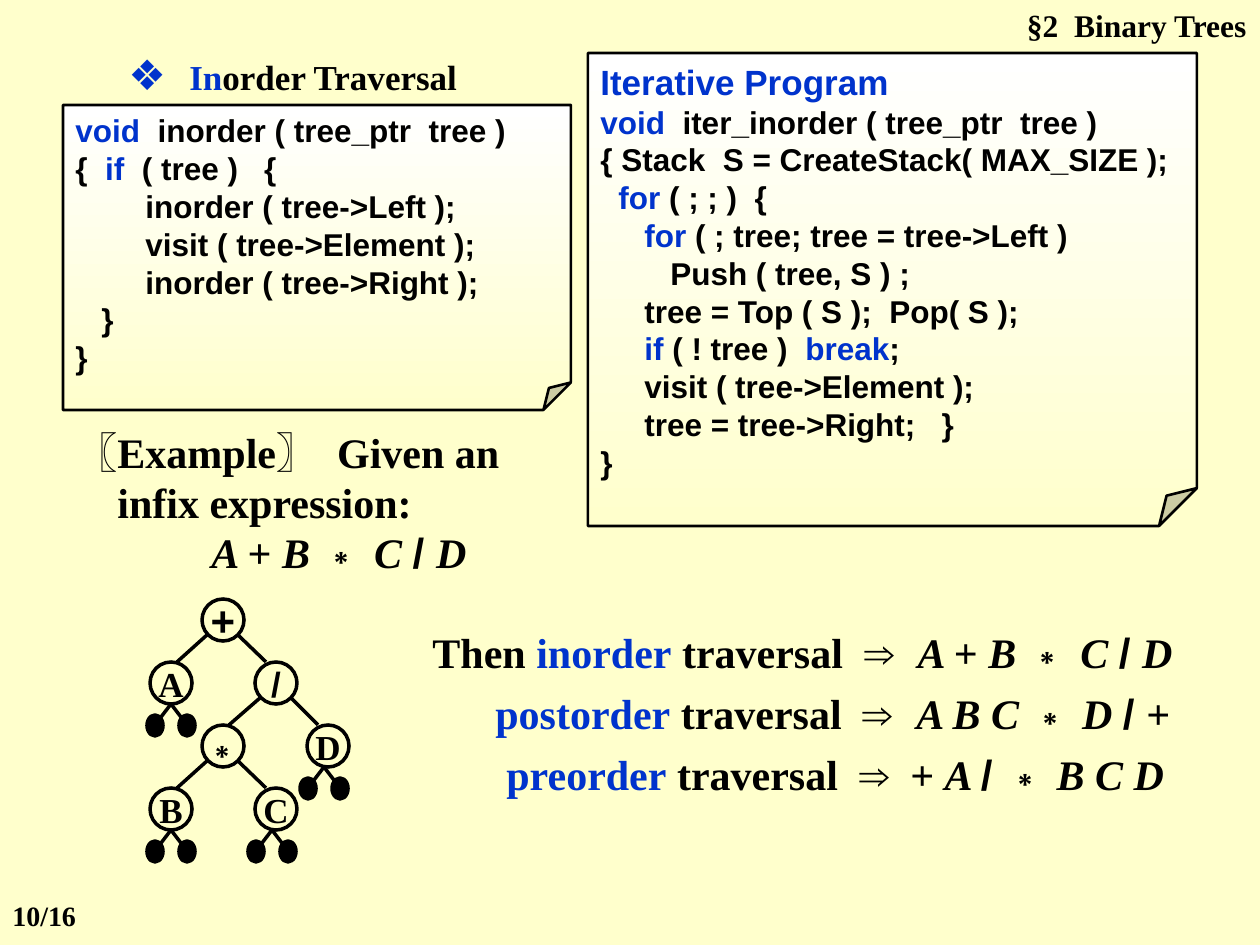
from lxml import etree
from pptx import Presentation
from pptx.dml.color import RGBColor
from pptx.enum.shapes import MSO_CONNECTOR, MSO_SHAPE
from pptx.enum.text import MSO_ANCHOR, PP_ALIGN
from pptx.oxml.ns import qn
from pptx.util import Pt

PX = 914400 // 126
BLACK = RGBColor(0x00, 0x00, 0x00)
BLUE = RGBColor(0x00, 0x33, 0xCC)
CREAM = RGBColor(0xFF, 0xFF, 0xCC)
WHITE = RGBColor(0xFF, 0xFF, 0xFF)
SERIF, SANS = "Times New Roman", "Arial"

KEY = dict(color=BLUE)
VAR = dict(italic=True)
SYM = dict(font=SANS)


def write(p, text, font=SERIF, size=24, color=BLACK, italic=False):
    r = p.add_run()
    r.text = text
    f = r.font
    f.name, f.size, f.bold, f.italic = font, Pt(size), True, italic
    f.color.rgb = color


class Slide:
    def __init__(self, prs):
        self.s = prs.slides.add_slide(prs.slide_layouts[6])
        fill = self.s.background.fill
        fill.solid()
        fill.fore_color.rgb = CREAM

    def fill_text(self, tf, lines, align=PP_ALIGN.LEFT, before=0, **base):
        for i, (indent, *runs) in enumerate(lines):
            p = tf.paragraphs[0] if i == 0 else tf.add_paragraph()
            p.alignment, p.space_before = align, Pt(before)
            p._p.get_or_add_pPr().set("marL", str(indent * PX))
            for run in runs:
                text, style = (run, {}) if isinstance(run, str) else run
                write(p, text, **{**base, **style})

    def text(self, x, y, w, h, lines, **style):
        tf = self.s.shapes.add_textbox(x * PX, y * PX, w * PX, h * PX).text_frame
        tf.word_wrap = True
        self.fill_text(tf, lines, **style)

    def shape(self, kind, x, y, w, h, line):
        sp = self.s.shapes.add_shape(kind, x * PX, y * PX, w * PX, h * PX)
        sp.shadow.inherit = False
        sp.line.color.rgb, sp.line.width = BLACK, Pt(line)
        sp.text_frame.vertical_anchor = MSO_ANCHOR.MIDDLE
        return sp

    def code(self, x, y, w, h, fold, lines):
        sp = self.shape(MSO_SHAPE.FOLDED_CORNER, x, y, w, h, 1.5)
        av = sp._element.spPr.find(qn("a:prstGeom")).get_or_add_avLst()
        etree.SubElement(av, qn("a:gd"), name="adj", fmla=f"val {round(fold * 100000)}")
        sp.fill.gradient()
        sp.fill.gradient_angle = 270
        for stop, color, pos in zip(sp.fill.gradient_stops, (WHITE, CREAM), (0, 1)):
            stop.color.rgb, stop.position = color, pos
        sp.text_frame.word_wrap = True
        self.fill_text(sp.text_frame, lines, font=SANS, size=18)

    def line(self, x1, y1, x2, y2):
        c = self.s.shapes.add_connector(
            MSO_CONNECTOR.STRAIGHT, x1 * PX, y1 * PX, x2 * PX, y2 * PX)
        c.line.color.rgb, c.line.width = BLACK, Pt(2)
        etree.SubElement(c._element.spPr, qn("a:effectLst"))

    def node(self, x, y, label, **style):
        sp = self.shape(MSO_SHAPE.OVAL, x, y, 42, 42, 2)
        sp.fill.background()
        sp.text_frame.word_wrap = False
        self.fill_text(sp.text_frame, [(0, label)], PP_ALIGN.CENTER, **style)

    def leaves(self, x, y):
        for dx in (-16, 16):
            self.line(x, y, x + dx, y + 21)
            sp = self.shape(MSO_SHAPE.OVAL, x + dx - 8, y + 11, 16, 21, 2)
            sp.fill.solid()
            sp.fill.fore_color.rgb = BLACK


prs = Presentation()
prs.slide_width, prs.slide_height = 1260 * PX, 945 * PX
s = Slide(prs)

s.text(955, 0, 304, 50, [(0, "§2  Binary Trees")],
       align=PP_ALIGN.RIGHT, before=11.2, size=18)
s.code(63, 105, 508, 305, 0.09, [
    (0, ("void", KEY), "  inorder ( tree_ptr  tree )"),
    (0, "{  ", ("if", KEY), "  ( tree )   {"),
    (70, "inorder ( tree->Left );"),
    (70, "visit ( tree->Element );"),
    (70, "inorder ( tree->Right );"),
    (26, "}"),
    (0, "}"),
])
s.text(116, 42, 388, 63,
       [(0, ("❖  ", dict(font=SANS, size=24, color=BLUE)), ("In", KEY), "order Traversal")],
       before=12.5, size=20)
s.code(588, 53, 609, 473, 0.08, [
    (0, ("Iterative Program", dict(size=20, color=BLUE))),
    (0, ("void", KEY), "  iter_inorder ( tree_ptr  tree )"),
    (0, "{ Stack  S = CreateStack( MAX_SIZE );"),
    (18, ("for", KEY), " ( ; ; )  {"),
    (44, ("for", KEY), " ( ; tree; tree = tree->Left )"),
    (70, "Push ( tree, S ) ;"),
    (44, "tree = Top ( S );  Pop( S );"),
    (44, ("if", KEY), " ( ! tree )  ", ("break", KEY), ";"),
    (44, "visit ( tree->Element );"),
    (44, "tree = tree->Right;   }"),
    (0, "}"),
])

infix = [("A ", VAR), "+ ", ("B ", VAR), ("∗ ", SYM), ("C ", VAR), ("/ ", SYM), ("D", VAR)]
s.text(63, 420, 514, 164, [
    (0, "〖Example〗  Given an"),
    (42, "infix expression:"),
    (136, *infix),
])

NODES = {
    "+": (1, 0, dict(font=SANS, size=24)),
    "A": (0, 1, dict(size=20)),
    "/": (2, 1, dict(font=SANS, size=20)),
    "∗": (1, 2, dict(font=SANS, size=24)),
    "D": (3, 2, dict(size=20)),
    "B": (0, 3, dict(size=20)),
    "C": (2, 3, dict(size=20)),
}
CHILDREN = {"+": "A/", "/": "∗D", "∗": "BC"}
LEAF_SHIFT = {"A": 0, "D": -4, "B": 0, "C": -4}
places = {k: (150 + col * 105 // 2, 599 + row * 63) for k, (col, row, _) in NODES.items()}

for label, (x, y) in places.items():
    s.node(x, y, label, **NODES[label][2])
for parent, pair in CHILDREN.items():
    x, y = places[parent]
    for child, start, end in zip(pair, (5, 36), (27, 11)):
        cx, cy = places[child]
        s.line(x + start, y + 36, cx + end, cy)
for label, shift in LEAF_SHIFT.items():
    x, y = places[label]
    s.leaves(x + 21 + shift, y + 42)

s.text(420, 620, 766, 185, [
    (0, "Then ", ("inorder", KEY), " traversal  ", ("⇒  ", SYM), *infix),
    (63, ("postorder", KEY), " traversal  ", ("⇒  ", SYM), ("A B C ", VAR),
     ("∗", SYM), (" D ", VAR), ("/ ", SYM), "+"),
    (74, ("preorder", KEY), " traversal  ", ("⇒", SYM), "  + ", ("A ", VAR),
     ("/ ∗", SYM), (" B C D", VAR)),
], before=6)
s.text(0, 892, 95, 47, [(0, "10/16")], before=10, size=16)

prs.save("out.pptx")
